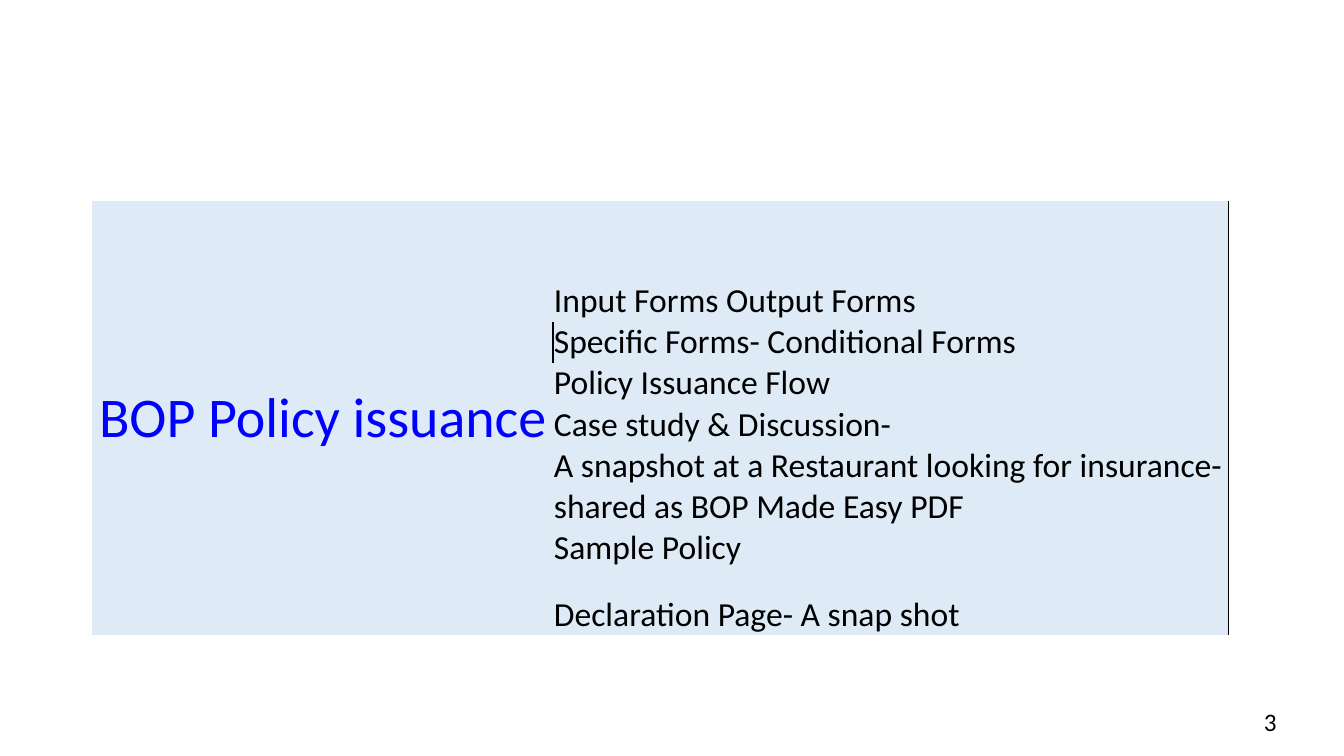
from lxml import etree
from pptx import Presentation
from pptx.dml.color import RGBColor
from pptx.enum.text import MSO_ANCHOR, PP_ALIGN
from pptx.oxml.ns import qn
from pptx.util import Pt

# Content: topic lines with row heights in points
HEADING = "BOP Policy issuance"
PAGE_NUMBER = "3"
LINE = 29.3
TOPICS = [
    ([], 57),
    (["Input Forms Output Forms"], LINE),
    (["Specific Forms- Conditional Forms"], LINE),
    (["Policy Issuance Flow"], LINE),
    (["Case study & Discussion- ",
      "A snapshot at a Restaurant looking for insurance- shared as BOP Made Easy PDF"],
     3 * LINE),
    (["Sample Policy"], LINE),
    (["Declaration Page- A snap shot"], 46.5),
]
MARKED_ROW = 2  # row with a rule on its left side
COLUMN_WIDTHS = (329, 482.4)
AGENDA_LEFT, AGENDA_TOP = 66, 143.8
PLAIN_STYLE = "{2D5ABB26-0587-4C30-8999-92F81FD0307C}"

FONT = "Calibri"
BLACK = RGBColor(0x00, 0x00, 0x00)
BLUE = RGBColor(0x00, 0x00, 0xFF)
PALE_BLUE = RGBColor(0xDE, 0xEB, 0xF7)
MIDDLE, BOTTOM = MSO_ANCHOR.MIDDLE, MSO_ANCHOR.BOTTOM
CENTER = PP_ALIGN.CENTER


def add_run(paragraph, text, size, color):
    run = paragraph.add_run()
    run.text = text
    run.font.name = FONT
    run.font.size = Pt(size)
    run.font.color.rgb = color


def add_border(cell, side):
    border = etree.Element(qn("a:" + side), w=str(Pt(1)))
    fill = etree.SubElement(border, qn("a:solidFill"))
    etree.SubElement(fill, qn("a:srgbClr"), val=str(BLACK))
    cell._tc.get_or_add_tcPr().insert(0, border)


def format_cell(cell, anchor, side_margin):
    cell.fill.solid()
    cell.fill.fore_color.rgb = PALE_BLUE
    cell.vertical_anchor = anchor
    cell.margin_left = cell.margin_right = Pt(side_margin)
    cell.margin_top = cell.margin_bottom = Pt(0)


def add_agenda(slide):
    frame = slide.shapes.add_table(
        len(TOPICS), 2, Pt(AGENDA_LEFT), Pt(AGENDA_TOP),
        Pt(sum(COLUMN_WIDTHS)), Pt(sum(height for _, height in TOPICS)))
    agenda = frame.table
    agenda.first_row = agenda.horz_banding = False
    agenda._tbl.tblPr.find(qn("a:tableStyleId")).text = PLAIN_STYLE
    for column, width in zip(agenda.columns, COLUMN_WIDTHS):
        column.width = Pt(width)

    # Topics on the right
    for index, (lines, height) in enumerate(TOPICS):
        agenda.rows[index].height = Pt(height)
        format_cell(agenda.cell(index, 0), MIDDLE, 0)
        topic = agenda.cell(index, 1)
        format_cell(topic, BOTTOM, 0.72)
        add_border(topic, "lnR")
        if index == MARKED_ROW:
            add_border(topic, "lnL")
        paragraph = topic.text_frame.paragraphs[0]
        for number, line in enumerate(lines):
            if number:
                paragraph.add_line_break()
            add_run(paragraph, line, 24, BLACK)

    # Heading across all rows on the left
    heading = agenda.cell(0, 0)
    heading.merge(agenda.cell(len(TOPICS) - 1, 0))
    paragraph = heading.text_frame.paragraphs[0]
    paragraph.alignment = CENTER
    add_run(paragraph, HEADING, 40, BLUE)


def add_page_number(slide):
    box = slide.shapes.add_textbox(Pt(895.7), Pt(501.1), Pt(48.2), Pt(28.8))
    box.text_frame.word_wrap = True
    add_run(box.text_frame.paragraphs[0], PAGE_NUMBER, 18, BLACK)


def main():
    deck = Presentation()
    deck.slide_width, deck.slide_height = Pt(960), Pt(540)
    slide = deck.slides.add_slide(deck.slide_layouts[6])
    add_page_number(slide)
    add_agenda(slide)
    deck.save("out.pptx")


if __name__ == "__main__":
    main()
